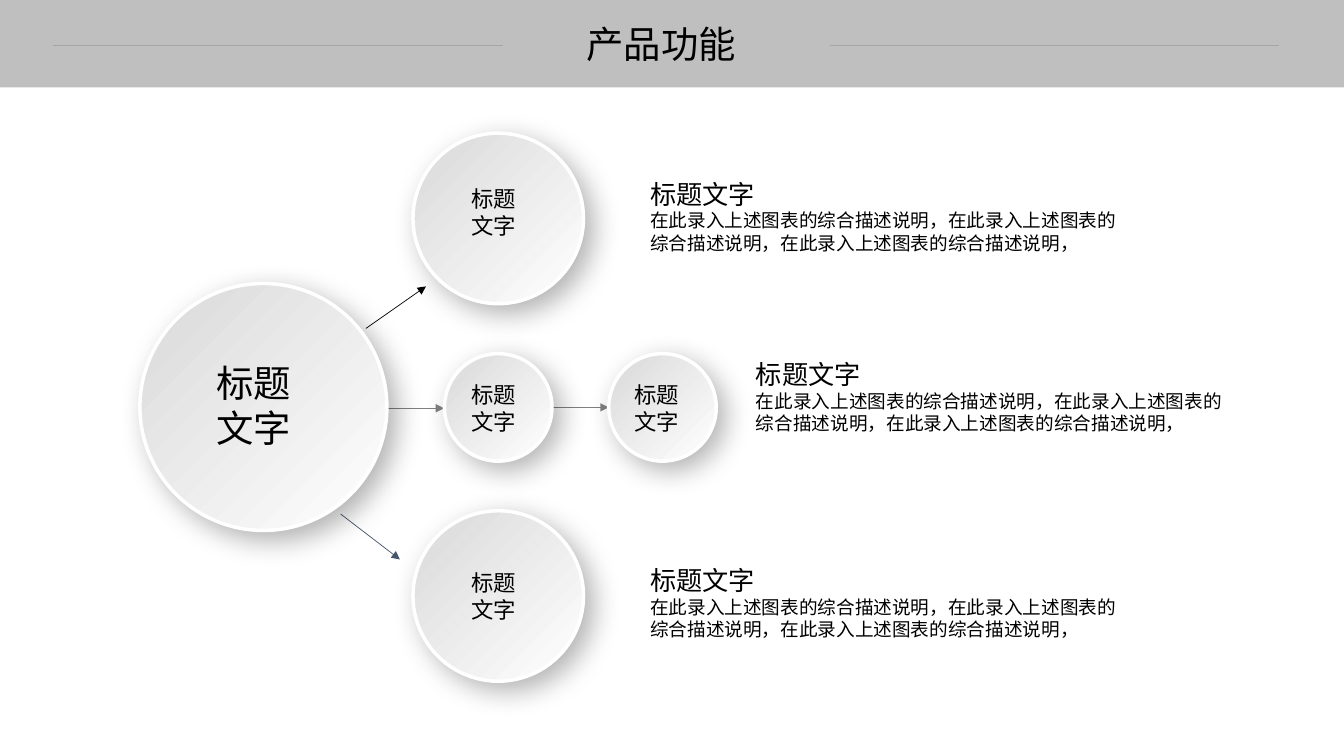
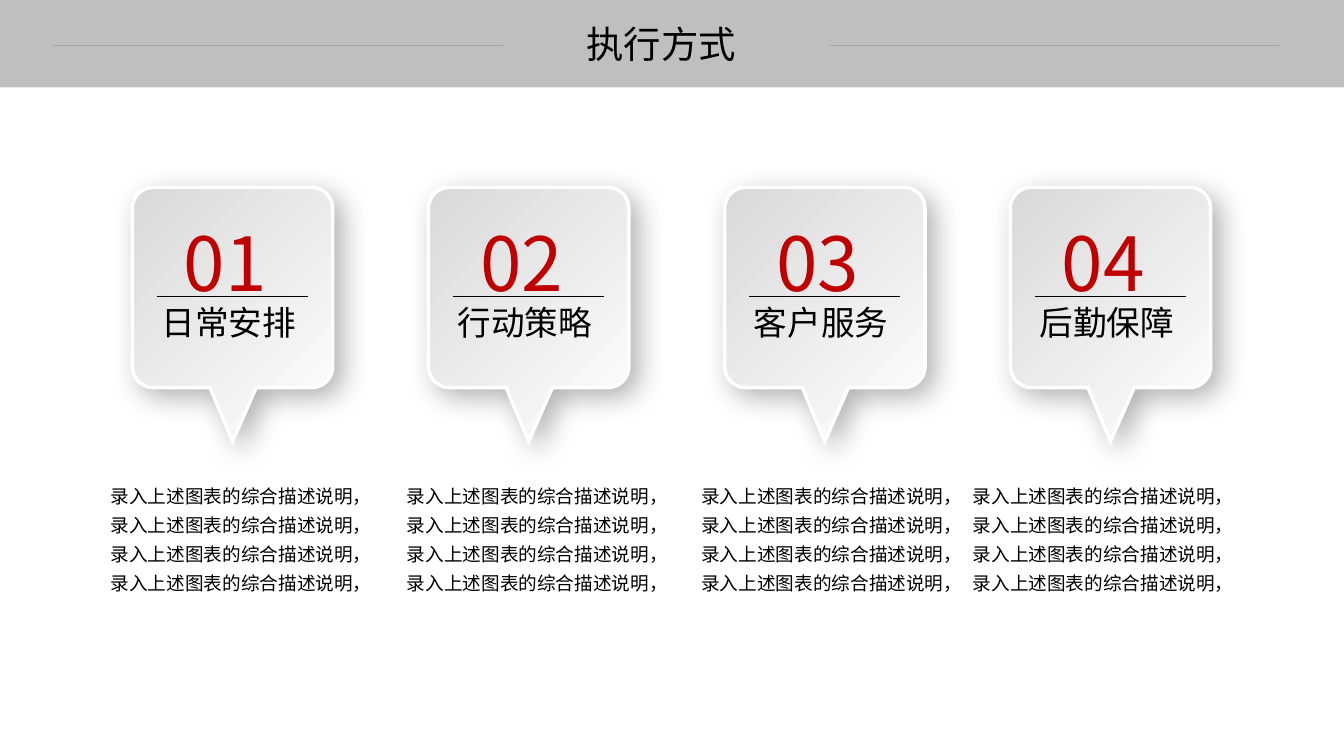
from dataclasses import dataclass

from lxml.etree import SubElement
from pptx import Presentation
from pptx.dml.color import RGBColor
from pptx.enum.shapes import MSO_CONNECTOR, MSO_SHAPE
from pptx.enum.text import MSO_AUTO_SIZE, PP_ALIGN
from pptx.oxml.ns import qn
from pptx.util import Emu, Inches, Pt


@dataclass(frozen=True)
class Theme:
    font: str = "Noto Sans CJK SC"
    # Colours
    ink: str = "000000"
    red: str = "C00000"
    navy: str = "44546A"
    band: str = "BFBFBF"
    rule: str = "A5A5A5"
    arrow: str = "808080"
    shade: str = "D9D9D9"
    white: str = "FFFFFF"
    # Type sizes
    title: float = 26.7
    number: float = 53.3
    name: float = 24
    head: float = 18.7
    label: float = 16
    body: float = 13.3


T = Theme()

# Grid of square cells: 32 columns by 18 rows
ROWS = 18
WIDE, HIGH = Inches(13.33), Inches(7.5)
CELL = HIGH / ROWS
MID = 9.7  # row on which the circles are centred


def cell(*spans):
    return [Emu(round(span * CELL)) for span in spans]


def color(code):
    return RGBColor.from_string(code)


# Text

def style(para, size, tint):
    font = para.font
    font.size = Pt(size)
    font.color.rgb = color(tint)
    font.name = T.font
    props = para._p.find(".//" + qn("a:defRPr"))
    SubElement(props, qn("a:ea"), typeface=T.font)


def text(slide, box, lines, tint=T.ink, align=None, space=None, wrap=True):
    """Write (words, size) lines into a box."""
    frame = slide.shapes.add_textbox(*cell(*box)).text_frame
    frame.word_wrap = wrap
    frame.auto_size = MSO_AUTO_SIZE.SHAPE_TO_FIT_TEXT
    for i, (words, size) in enumerate(lines):
        para = frame.add_paragraph() if i else frame.paragraphs[0]
        para.text = words
        para.alignment = align
        para.line_spacing = space
        style(para, size, tint)


# Lines and shapes

def line(slide, start, end, tint, width, arrow=False):
    link = slide.shapes.add_connector(
        MSO_CONNECTOR.STRAIGHT, *cell(*start, *end))
    link.line.color.rgb = color(tint)
    link.line.width = Pt(width)
    props = link._element.spPr
    if arrow:
        SubElement(props.find(qn("a:ln")), qn("a:tailEnd"), type="triangle")
    SubElement(props, qn("a:effectLst"))


def raise_up(shape):
    """Give a shape the soft gradient, white rim and drop shadow."""
    shape.fill.gradient()
    shape.fill.gradient_angle = 315
    for stop, tint in zip(shape.fill.gradient_stops, (T.shade, T.white)):
        stop.color.rgb = color(tint)
    shape.line.color.rgb = color(T.white)
    shape.line.width = Pt(2.5)
    shape.shadow.inherit = False
    props = shape._element.spPr
    SubElement(props.find(qn("a:ln")), qn("a:miter"), lim="800000")
    drop = SubElement(props.find(qn("a:effectLst")), qn("a:outerShdw"),
                      blurRad=str(Pt(20)), dist=str(Pt(8)), dir="2700000",
                      algn="tl", rotWithShape="0")
    tint = SubElement(drop, qn("a:srgbClr"), val=T.ink)
    SubElement(tint, qn("a:alpha"), val="30000")


def ball(slide, x, y, size, shift, box, points):
    """Circle centred on x, y; its label box is shifted from the centre."""
    shape = slide.shapes.add_shape(
        MSO_SHAPE.OVAL, *cell(x - size / 2, y - size / 2, size, size))
    raise_up(shape)
    (dx, dy), (wide, high) = shift, box
    text(slide, (x + dx - wide / 2, y + dy - high / 2, wide, high),
         [("标题", points), ("文字", points)])


def bend(shape, starts):
    """Turn each run of three segments at the starts into one curve."""
    route = shape._element.find(".//" + qn("a:path"))
    parts = list(route)
    for start in starts:
        curve = SubElement(route, qn("a:cubicBezTo"))
        parts[start].addprevious(curve)
        for part in parts[start:start + 3]:
            curve.append(part[0])
            route.remove(part)


def bubble(slide, left, top, side=4.77, tip=6.05, curve=0.5):
    """Rounded square with a pointer below."""
    far, pull = side - curve, curve * 0.45
    end = side - pull
    spots = [
        (far, 0), (curve, 0),
        (pull, 0), (0, pull), (0, curve), (0, far),
        (0, end), (pull, side), (curve, side),
        (1.85, side), (side / 2, tip), (2.95, side), (far, side),
        (end, side), (side, end), (side, far), (side, curve),
        (side, pull), (end, 0), (far, 0)]
    spots = [tuple(cell(left + x, top + y)) for x, y in spots]
    pen = slide.shapes.build_freeform(*spots[0])
    pen.add_line_segments(spots[1:], close=True)
    shape = pen.convert_to_shape()
    bend(shape, (2, 6, 13, 17))
    raise_up(shape)


# Shared page frame

def page(deck, title):
    slide = deck.slides.add_slide(deck.slide_layouts[6])
    band = slide.shapes.add_shape(
        MSO_SHAPE.RECTANGLE, 0, 0, WIDE, cell(2.08)[0])
    band.shadow.inherit = False
    band.fill.solid()
    band.fill.fore_color.rgb = color(T.band)
    band.line.fill.background()
    text(slide, (12.98, 0.38, 5.53, 1.32), [(title, T.title)],
         align=PP_ALIGN.CENTER)
    for x in (1.27, 19.75):
        line(slide, (x, 1.08), (x + 10.7, 1.08), T.rule, 0.75)
    return slide


# Slides

def features(deck):
    slide = page(deck, "产品功能")

    # Arrows
    for start, end, tint in (
            ((9.21, 9.72), (10.57, 9.72), T.arrow),
            ((13.12, MID), (14.49, MID), T.arrow),
            ((8.71, 7.82), (10.14, 6.82), T.ink),
            ((8.11, 12.24), (9.52, 13.32), T.navy)):
        line(slide, start, end, tint, 0.5, arrow=True)

    # Notes
    note = "在此录入上述图表的综合描述说明，" * 3
    for x, y in ((15.24, 4.12), (17.76, 8.42), (15.24, 13.32)):
        text(slide, (x, y, 11.83, 2.06),
             [("标题文字", T.head), (note, T.body)])

    # Circles
    ball(slide, 6.27, MID - 0.01, 5.88, (-0.09, -0.03), (2.54, 2.4),
         T.title)
    for x, y, size, dx, dy in ((11.86, MID - 4.5, 4.06, 0.13, -0.13),
                               (11.86, MID, 2.56, 0.13, 0.02),
                               (15.77, MID, 2.56, 0.1, 0.02),
                               (11.86, MID + 4.49, 4.06, 0.13, 0.01)):
        ball(slide, x, y, size, (dx, dy), (2, 1.54), T.label)


def methods(deck):
    slide = page(deck, "执行方式")
    top = 4.46
    cards = (("日常安排", 3.15, 2.4), ("行动策略", 10.2, 9.45),
             ("客户服务", 17.25, 16.46), ("后勤保障", 24.05, 22.92))
    for i, (name, x, left) in enumerate(cards, 1):
        # Card
        bubble(slide, x, top)
        text(slide, (x + 0.46, top + 2.6, 3.72, 1.2), [(name, T.name)],
             wrap=False)
        text(slide, (x + 0.99, top + 0.58, 2.59, 2.4),
             [(f"{i:02}", T.number)], tint=T.red, wrap=False)
        line(slide, (x + 0.58, top + 2.6), (x + 4.18, top + 2.6),
             T.ink, 0.75)
        # Details
        text(slide, (left, 11.26, 7.06, 3.05),
             [("录入上述图表的综合描述说明，", T.body)] * 4, space=1.3)


def main():
    deck = Presentation()
    deck.slide_width, deck.slide_height = WIDE, HIGH
    features(deck)
    methods(deck)
    deck.save("out.pptx")


if __name__ == "__main__":
    main()
